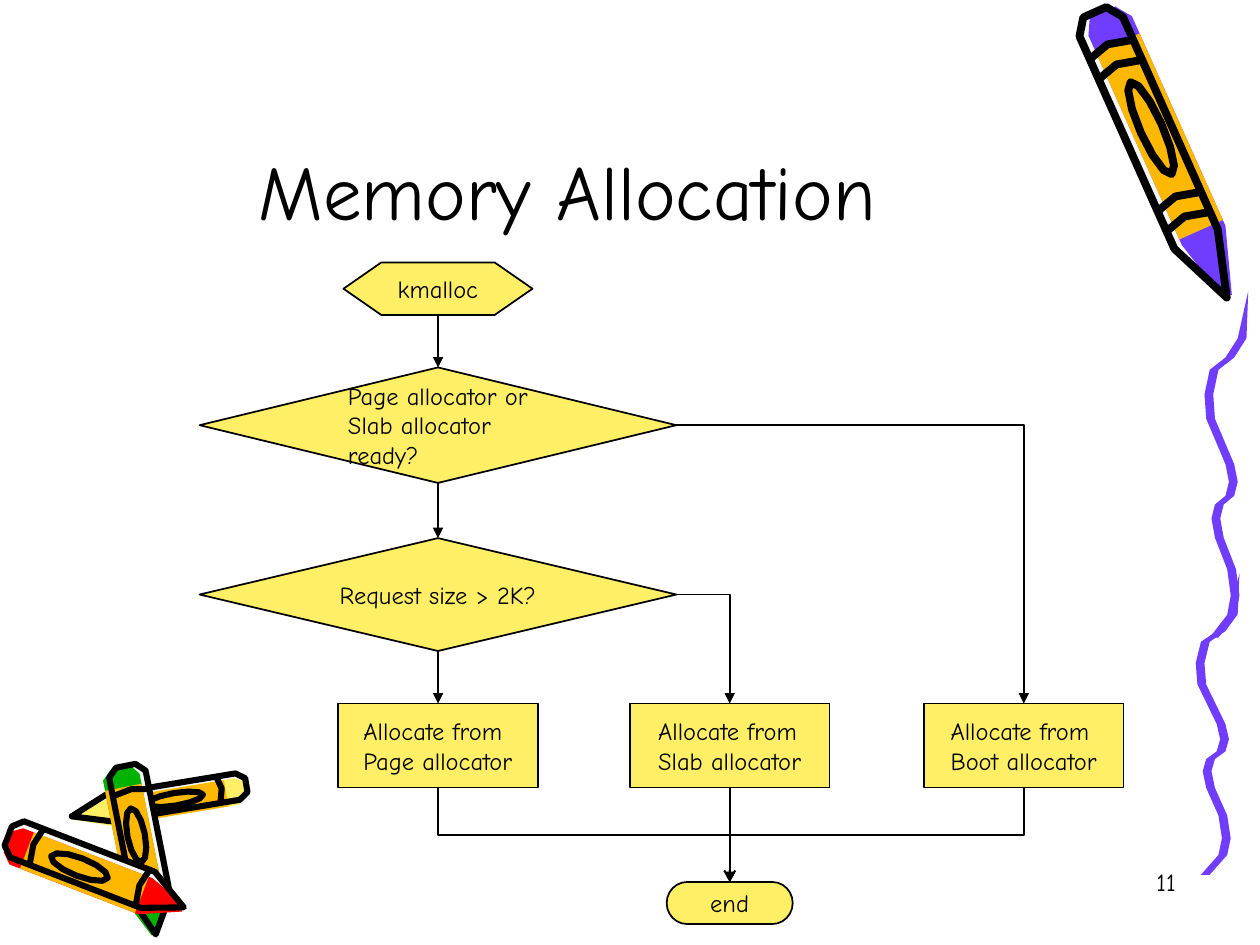
import math

from lxml import etree
from pptx import Presentation
from pptx.dml.color import RGBColor
from pptx.enum import shapes, text
from pptx.oxml import ns
from pptx.util import Pt

FONT = "Comic Neue"
BLACK, WHITE, YELLOW, PURPLE = "000000", "F8F8F8", "FFEF66", "703DFF"
ORANGE, RED, GREEN = "FFB800", "FF0000", "00B200"

# Flowchart: columns by centre x, nodes as (preset, text, column, top, width, height)
COLUMNS = {"page": 250.3, "slab": 417, "boot": 585}
NODES = {
    "start": ("FLOWCHART_PREPARATION", "kmalloc", "page", 150, 108, 30),
    "ready": ("FLOWCHART_DECISION", "Page allocator or Slab allocator ready?", "page", 210, 272.4, 66),
    "size": ("FLOWCHART_DECISION", "Request size > 2K?", "page", 307.5, 272.4, 64.5),
    "page": ("FLOWCHART_PROCESS", "Allocate from Page allocator", "page", 402, 114, 48),
    "slab": ("FLOWCHART_PROCESS", "Allocate from Slab allocator", "slab", 402, 114, 48),
    "boot": ("FLOWCHART_PROCESS", "Allocate from Boot allocator", "boot", 402, 114, 48),
    "end": ("FLOWCHART_TERMINATOR", "end", "slab", 504, 72, 24),
}
# Links: (from, to, route, arrowhead)
LINKS = [
    ("start", "ready", "down", "triangle"),
    ("ready", "size", "down", "triangle"),
    ("size", "page", "down", "triangle"),
    ("size", "slab", "side", "triangle"),
    ("ready", "boot", "side", "triangle"),
    ("page", "end", "merge", "triangle"),
    ("slab", "end", "down", "arrow"),
    ("boot", "end", "merge", "arrow"),
]
TOP, BOTTOM, RIGHT = 0, 2, 3  # connection sites

# Crayons: (wax colour, butt, tip, thickness, ink width, bands along the length);
# a negative thickness mirrors the crayon about its axis
CRAYONS = [
    (YELLOW, (141, 450), (41, 466.5), -18, 3.5, (0.16, 0.76)),
    (GREEN, (70, 438), (89, 534), 25, 3.5, (0.16, 0.76)),
    (RED, (4, 479.5), (105, 518.5), 26, 3.5, (0.16, 0.76)),
    (PURPLE, (627.8, 6), (701, 170), -32, 4.5, (0.13, 0.2, 0.66, 0.73)),
]
# Crayon parts as (along, across): along runs 0 to 1 from butt to tip, across -0.5 to 0.5.
# The colours sit to one side of the ink, which leaves a white highlight.
OUTLINE = [(0, -0.3), (0, 0.15), (0.05, 0.35), (0.79, 0.35), (1, 0), (0.79, -0.5), (0.05, -0.5)]
WAX = [(0.01, -0.2), (0.01, 0.3), (0.06, 0.5), (0.79, 0.5), (1, 0.1), (0.97, -0.1), (0.79, -0.35), (0.06, -0.35)]
WRAPPER = [(0.12, -0.35), (0.12, 0.5), (0.77, 0.5), (0.77, -0.35)]
LABEL = [(0.41 + 0.16 * math.cos(k * math.pi / 6), 0.2 * math.sin(k * math.pi / 6)) for k in range(12)]

# Ribbon: one wavy edge, drawn as (left, top, vertical scale)
WAVE = [(25, 0), (19, 27), (12, 38), (3, 45), (0, 59), (1, 73), (12, 99), (14, 109),
        (12, 117), (6, 122), (4, 130), (6, 141), (13, 159), (15, 174), (13, 185), (3, 198)]
RIBBONS = [(683.3, 327.6, 0.87), (688.3, 166.3, 1)]
RIBBON_WIDTH = 5


def rgb(hex_colour):
    return RGBColor.from_string(hex_colour)


def write(sp, words, size, align, anchor):
    tf = sp.text_frame
    tf.word_wrap = True
    tf.vertical_anchor = anchor
    p = tf.paragraphs[0]
    p.alignment = align
    r = p.add_run()
    r.text = words
    for name, value in {"name": FONT, "size": Pt(size)}.items():
        setattr(r.font, name, value)
    r.font.color.rgb = rgb(BLACK)


def paint(sp, fill=None, ink=None):
    """Fill a shape and give it a black line of the ink width; None leaves either out."""
    sp.shadow.inherit = False
    if fill:
        sp.fill.solid()
        sp.fill.fore_color.rgb = rgb(fill)
    else:
        sp.fill.background()
    if ink:
        sp.line.color.rgb = rgb(BLACK)
        sp.line.width = Pt(ink)
    else:
        sp.line.fill.background()


def draw(group, points, fill=None, ink=None, close=True):
    emu = [(Pt(x), Pt(y)) for x, y in points]
    builder = group.shapes.build_freeform(*emu[0])
    builder.add_line_segments(emu[1:], close=close)
    paint(builder.convert_to_shape(), fill, ink)


def add_crayon(s, wax, butt, tip, thickness, ink, bands):
    group = s.shapes.add_group_shape()
    dx, dy = tip[0] - butt[0], tip[1] - butt[1]
    length = math.hypot(dx, dy)

    def place(part):
        return [(butt[0] + along * dx - across * thickness * dy / length,
                 butt[1] + along * dy + across * thickness * dx / length)
                for along, across in part]

    for part, colour in ((OUTLINE, WHITE), (WAX, wax), (WRAPPER, ORANGE)):
        draw(group, place(part), fill=colour)
    for part in (OUTLINE, LABEL):
        draw(group, place(part), ink=ink)
    for band in bands:
        arc = [(band, -0.5), (band - 0.02, -0.1), (band, 0.35)]
        draw(group, place(arc), ink=ink, close=False)


def add_ribbon(s, left, top, scale):
    edge = [(left + x, top + y * scale) for x, y in WAVE]
    far_edge = [(x + RIBBON_WIDTH, y) for x, y in edge[1:]]
    draw(s, edge + far_edge[::-1], fill=PURPLE)


def add_node(s, preset, words, column, top, width, height):
    left = COLUMNS[column] - width / 2
    sp = s.shapes.add_shape(shapes.MSO_SHAPE[preset], *map(Pt, (left, top, width, height)))
    paint(sp, YELLOW, 1)
    write(sp, words, 14, text.PP_ALIGN.LEFT, text.MSO_ANCHOR.MIDDLE)
    sp.text_frame._txBody.bodyPr.set("anchorCtr", "1")  # centre the left-aligned block
    return sp


def add_link(s, source, target, route, head):
    kind = shapes.MSO_CONNECTOR.STRAIGHT if route == "down" else shapes.MSO_CONNECTOR.ELBOW
    c = s.shapes.add_connector(kind, 0, 0, 0, 0)
    c.begin_connect(source, RIGHT if route == "side" else BOTTOM)
    c.end_connect(target, TOP)
    spPr = c._element.spPr
    if route == "side":
        spPr.find(ns.qn("a:prstGeom")).set("prst", "bentConnector2")
    elif route == "merge":  # turn the elbow so that it leaves and arrives vertically
        rightward = c.end_x > c.begin_x
        across, drop = c.width, c.height
        mid_x, mid_y = c.left + across // 2, c.top + drop // 2
        c.left, c.top = mid_x - drop // 2, mid_y - across // 2
        c.width, c.height = drop, across
        xfrm = spPr.find(ns.qn("a:xfrm"))
        xfrm.set("rot", str((270 if rightward else 90) * 60000))
        xfrm.set("flipH", "1" if rightward else "0")
    c.line.color.rgb = rgb(BLACK)
    c.line.width = Pt(1)
    etree.SubElement(c.line._get_or_add_ln(), ns.qn("a:tailEnd"), type=head)
    etree.SubElement(spPr, ns.qn("a:effectLst"))


def main():
    prs = Presentation()
    prs.slide_width, prs.slide_height = Pt(720), Pt(540)
    s = prs.slides.add_slide(prs.slide_layouts[5])

    # Decoration
    for ribbon in RIBBONS:
        add_ribbon(s, *ribbon)
    for crayon in CRAYONS:
        add_crayon(s, *crayon)

    # Title
    title = s.shapes.title
    title.left, title.top, title.width, title.height = map(Pt, (54, 12.25, 540.5, 126))
    write(title, "Memory Allocation", 44, text.PP_ALIGN.CENTER, text.MSO_ANCHOR.BOTTOM)

    # Flowchart
    nodes = {name: add_node(s, *node) for name, node in NODES.items()}
    for source, target, route, head in LINKS:
        add_link(s, nodes[source], nodes[target], route, head)

    # Slide number
    number = s.shapes.add_textbox(*map(Pt, (529, 492, 150, 36)))
    write(number, "11", 14, text.PP_ALIGN.RIGHT, text.MSO_ANCHOR.TOP)

    prs.save("out.pptx")


if __name__ == "__main__":
    main()
